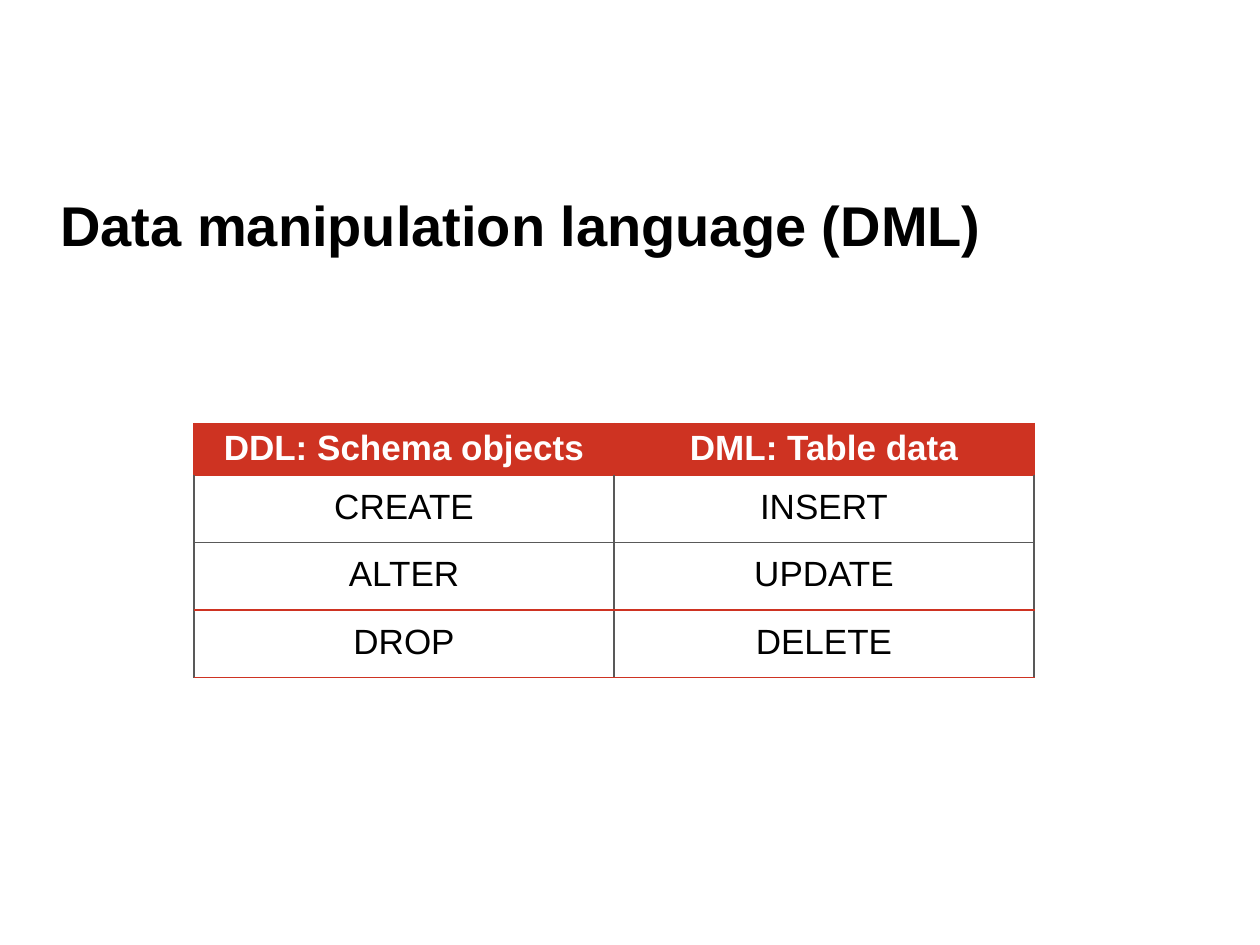
from lxml.etree import SubElement
from pptx import Presentation
from pptx.dml.color import RGBColor
from pptx.enum.text import MSO_ANCHOR as Anchor, PP_ALIGN as Align
from pptx.oxml.ns import qn
from pptx.util import Inches, Pt

RED = RGBColor(0xCE, 0x33, 0x22)
GRAY = RGBColor(0x59, 0x59, 0x59)
BLACK = RGBColor(0, 0, 0)
WHITE = RGBColor(255, 255, 255)

WIDTH, HEIGHT = Inches(10), Inches(7.5)
HEADER_HEIGHT, BODY_HEIGHT = Inches(0.4), Inches(0.52)
COMMANDS = [
    ("DDL: Schema objects", "DML: Table data"),
    ("CREATE", "INSERT"),
    ("ALTER", "UPDATE"),
    ("DROP", "DELETE"),
]


def write(frame, text, size=20, color=BLACK, bold=False, align=Align.LEFT):
    """Put one formatted paragraph into a text frame."""
    frame.word_wrap = True
    paragraph = frame.paragraphs[0]
    paragraph.alignment = align
    run = paragraph.add_run()
    run.text = text
    run.font.name = "Arial"
    run.font.size = Pt(size)
    run.font.bold = bold
    run.font.color.rgb = color


def set_borders(cell, **edges):
    """Draw cell edges, each given as a colour and a width in points."""
    properties = cell._tc.get_or_add_tcPr()
    for position, side in enumerate("LRTB"):
        color, width = edges[side]
        line = properties.makeelement(qn(f"a:ln{side}"), {"w": str(Pt(width))})
        fill = SubElement(line, qn("a:solidFill"))
        SubElement(fill, qn("a:srgbClr"), val=str(color))
        properties.insert(position, line)


def add_title(slide, left, top, width, height):
    """Place the heading, centred vertically in its box."""
    heading = slide.shapes.add_textbox(left, top, width, height)
    heading.text_frame.vertical_anchor = Anchor.MIDDLE
    write(heading.text_frame, "Data manipulation language (DML)", size=32, bold=True)


def add_commands(slide, left, top, width):
    """Place the command table with a red header and ruled body rows."""
    last = len(COMMANDS) - 1
    height = HEADER_HEIGHT + last * BODY_HEIGHT
    table = slide.shapes.add_table(
        len(COMMANDS), len(COMMANDS[0]), left, top, width, height).table
    table.horz_banding = False
    # Rule above each row, then the one closing the table
    rules = [(RED, 0.75), (RED, 0.75), (GRAY, 0.75), (RED, 1.5), (RED, 0.75)]
    for row, commands in enumerate(COMMANDS):
        header = row == 0
        table.rows[row].height = HEADER_HEIGHT if header else BODY_HEIGHT
        side = (RED if header else GRAY, 0.75)
        for column, command in enumerate(commands):
            cell = table.cell(row, column)
            inset = Inches(0.04 if header else 0.1)
            cell.margin_left = cell.margin_right = inset
            cell.margin_top = cell.margin_bottom = inset
            if header:
                cell.fill.solid()
                cell.fill.fore_color.rgb = RED
            else:
                cell.fill.background()
            write(cell.text_frame, command, bold=header,
                  color=WHITE if header else BLACK, align=Align.CENTER)
            set_borders(cell, L=side, R=side, T=rules[row], B=rules[row + 1])


deck = Presentation()
deck.slide_width, deck.slide_height = WIDTH, HEIGHT
slide = deck.slides.add_slide(deck.slide_layouts[6])
margin = Inches(0.38)
add_title(slide, margin, Inches(1.4), WIDTH - 2 * margin, Inches(0.76))
add_commands(slide, Inches(1.54), Inches(3.36), WIDTH * 2 // 3)
deck.save("out.pptx")
